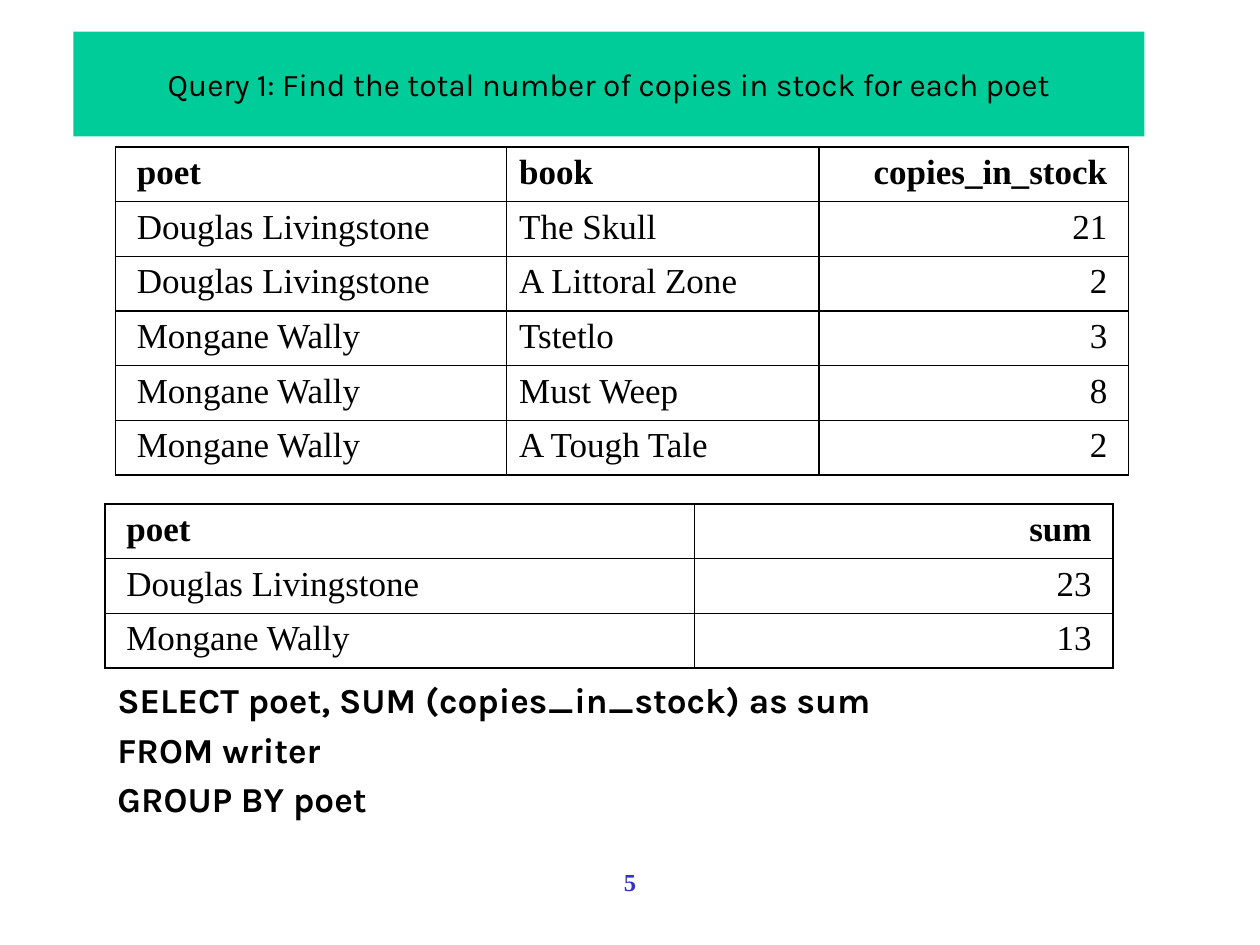
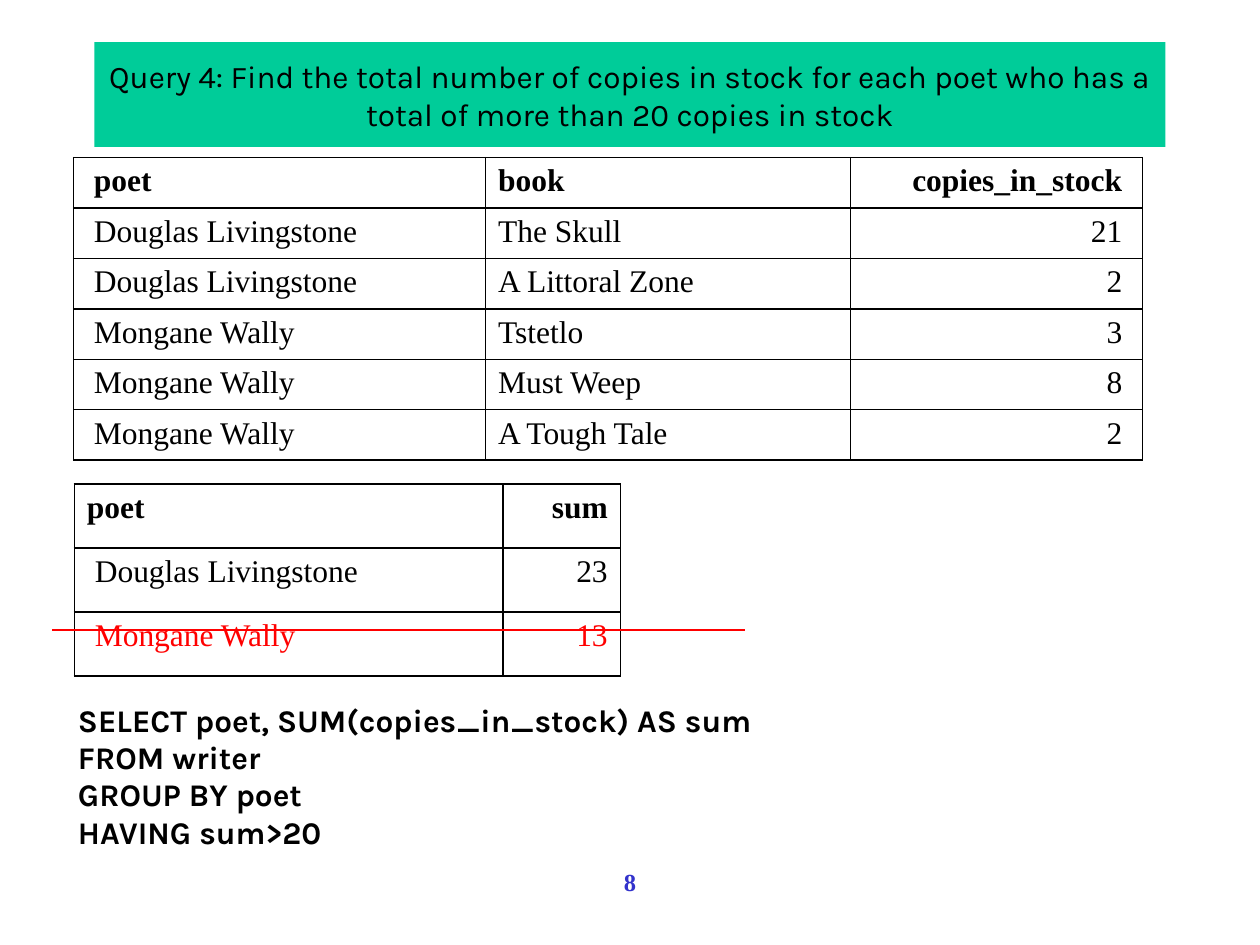
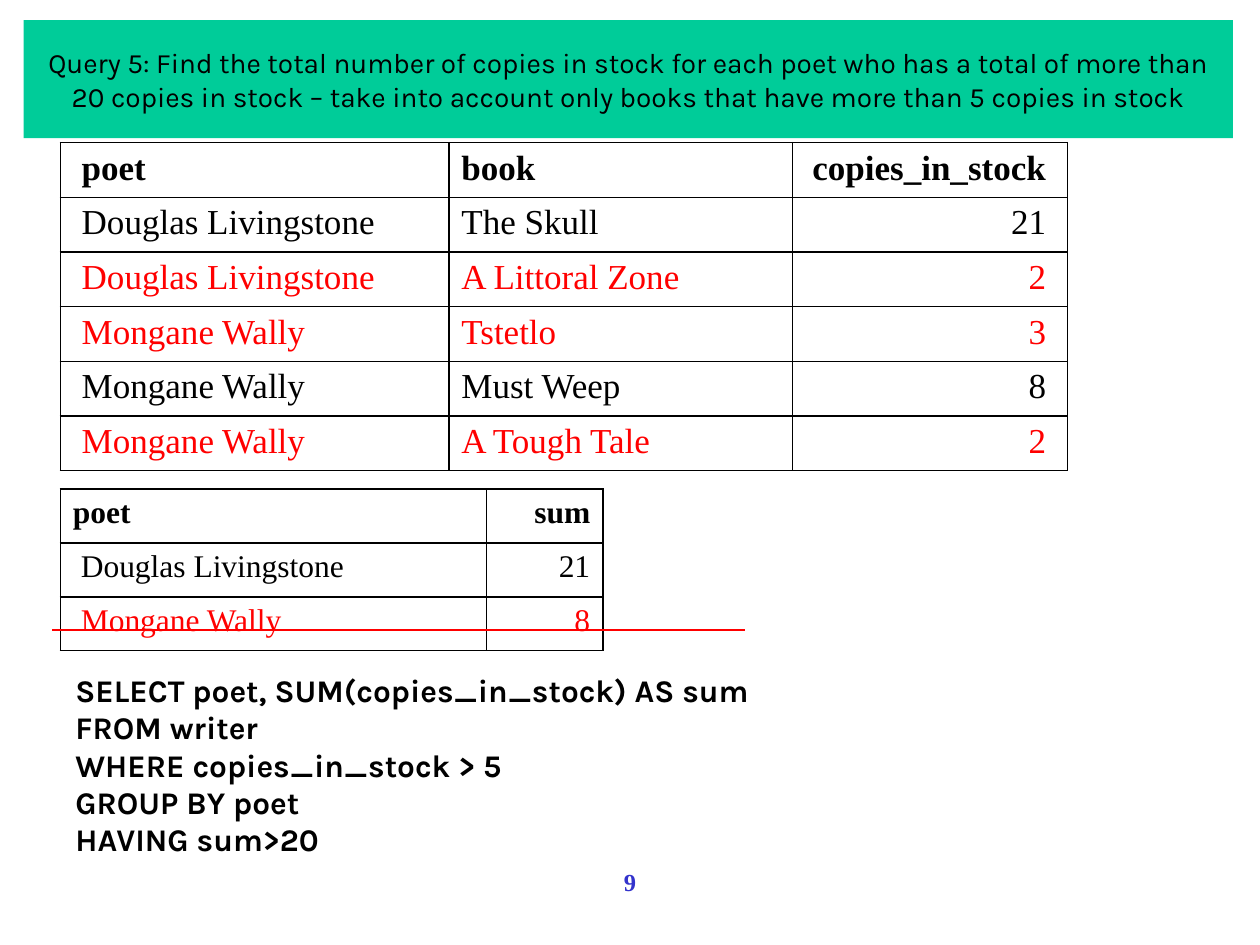
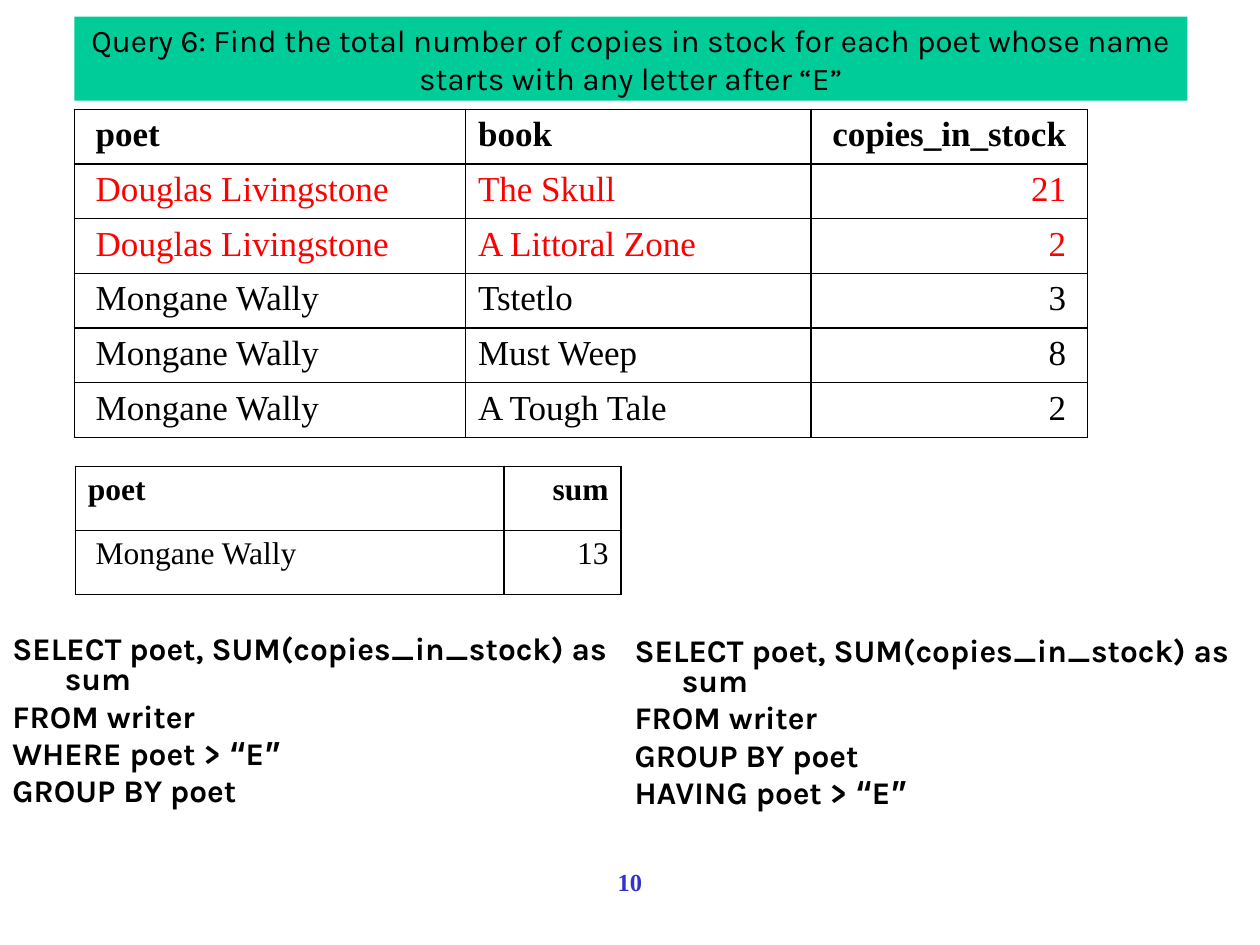
from itertools import groupby

from lxml.etree import SubElement
from pptx import Presentation
from pptx.dml.color import RGBColor
from pptx.enum.shapes import MSO_CONNECTOR as CONN, MSO_SHAPE as SHAPE
from pptx.enum.text import MSO_ANCHOR as ANCHOR, PP_ALIGN as ALIGN
from pptx.oxml.ns import qn
from pptx.util import Pt

BLACK, RED, GREEN, BLUE = "000000", "FF0000", "00CC99", "3333CC"
SANS, QUOTE_FONT, SERIF = "Karla", "Inter", "Times New Roman"

STOCK = [
    ("poet", "book", "copies_in_stock"),
    ("Douglas Livingstone", "The Skull", "21"),
    ("Douglas Livingstone", "A Littoral Zone", "2"),
    ("Mongane Wally", "Tstetlo", "3"),
    ("Mongane Wally", "Must Weep", "8"),
    ("Mongane Wally", "A Tough Tale", "2"),
]
SUM_HEAD = ("poet", "sum")


def rgb(color):
    """Turn a hex string into a colour."""
    return RGBColor.from_string(color)


def points(*values):
    """Turn numbers of points into lengths."""
    return [Pt(v) for v in values]


def write(p, text, size=18, font=SANS, color=BLACK, bold=False, align=ALIGN.LEFT):
    """Fill a paragraph, setting curly quotes of bold text in their own font."""
    p.alignment = align
    for is_quote, chars in groupby(text, lambda c: bold and c in "“”"):
        r = p.add_run()
        r.text = "".join(chars)
        r.font.name = QUOTE_FONT if is_quote else font
        r.font.size = Pt(size)
        r.font.bold = bold
        r.font.color.rgb = rgb(color)


def border(cell, color=BLACK, width=1):
    """Draw a solid line on all four sides of a cell."""
    tc_pr = cell._tc.get_or_add_tcPr()
    for side in ("lnL", "lnR", "lnT", "lnB"):
        ln = SubElement(tc_pr, qn(f"a:{side}"), w=str(Pt(width)))
        fill = SubElement(ln, qn("a:solidFill"))
        SubElement(fill, qn("a:srgbClr"), val=color)


class Deck:
    """The shared style and the slide being built."""

    def __init__(self):
        """Start an empty 10 by 7.5 inch presentation."""
        self.prs = Presentation()
        self.prs.slide_width, self.prs.slide_height = points(720, 540)
        self.shapes = None

    def slide(self, number):
        """Add a blank slide with its page number."""
        self.shapes = self.prs.slides.add_slide(self.prs.slide_layouts[6]).shapes
        tf = self.shapes.add_textbox(*points(36, 492, 648, 36)).text_frame
        tf.word_wrap = True
        write(tf.paragraphs[0], str(number), size=14, font=SERIF, color=BLUE,
              bold=True, align=ALIGN.CENTER)

    def title(self, text, box, size=18):
        """Add the green title band."""
        sp = self.shapes.add_shape(SHAPE.RECTANGLE, *points(*box))
        sp.shadow.inherit = False
        sp.fill.solid()
        sp.fill.fore_color.rgb = rgb(GREEN)
        sp.line.fill.background()
        tf = sp.text_frame
        tf.word_wrap = True
        tf.vertical_anchor = ANCHOR.MIDDLE
        write(tf.paragraphs[0], text, size=size, align=ALIGN.CENTER)

    def query(self, lines, box, size=18, spacing=0.8, hang=27):
        """Add SQL lines with a hanging indent."""
        tf = self.shapes.add_textbox(*points(*box)).text_frame
        tf.word_wrap = True
        for i, line in enumerate(lines):
            p = tf.add_paragraph() if i else tf.paragraphs[0]
            p.line_spacing = spacing
            p.space_before = Pt(round(0.225 * size, 2))
            p_pr = p._p.get_or_add_pPr()
            p_pr.set("marL", str(Pt(hang)))
            p_pr.set("indent", str(-Pt(hang)))
            write(p, line, size=size, bold=True)

    def table(self, rows, at, widths, height, size=18, red=(), padded=True):
        """Add a ruled table; the last column is right aligned, red rows stand out."""
        last = len(widths) - 1
        frame = self.shapes.add_table(
            len(rows), len(widths), *points(*at, sum(widths), height * len(rows)))
        tbl = frame.table
        tbl.first_row = tbl.horz_banding = False
        for col, width in zip(tbl.columns, widths):
            col.width = Pt(width)
        for i, row in enumerate(rows):
            tbl.rows[i].height = Pt(height)
            for j, text in enumerate(row):
                cell = tbl.cell(i, j)
                border(cell)
                cell.fill.background()
                cell.margin_top = cell.margin_bottom = Pt(3.6)
                pad = Pt(7.2 + size / 4)
                if j == 0 and (padded or i):
                    cell.margin_left = pad
                if j == last and padded:
                    cell.margin_right = pad
                write(cell.text_frame.paragraphs[0], text, size=size, font=SERIF,
                      color=RED if i in red else BLACK, bold=i == 0,
                      align=ALIGN.RIGHT if j == last else ALIGN.LEFT)

    def strike(self):
        """Draw the red line through the rejected group."""
        line = self.shapes.add_connector(CONN.STRAIGHT, *points(30, 360, 426, 360))
        line.line.color.rgb = rgb(RED)
        line.line.width = Pt(0.75)
        SubElement(line._element.spPr, qn("a:effectLst"))


deck = Deck()

deck.slide(5)
deck.title("Query 1: Find the total number of copies in stock for each poet",
           (42, 18, 612, 60))
deck.query(["SELECT poet, SUM (copies_in_stock) as sum", "FROM writer", "GROUP BY poet"],
           (60, 384, 474, 94), size=20, spacing=1.0)
deck.table([SUM_HEAD, ("Douglas Livingstone", "23"), ("Mongane Wally", "13")],
           (60, 288), (337, 239), 31.2, size=20)
deck.table(STOCK, (66, 84), (223.5, 178.5, 177), 31.2, size=20)

deck.slide(8)
deck.title("Query 4: Find the total number of copies in stock for each poet "
           "who has a total of more than 20 copies in stock", (54, 24, 612, 60))
deck.query(["SELECT poet, SUM(copies_in_stock) AS sum", "FROM writer",
            "GROUP BY poet", "HAVING sum>20"], (37.5, 401, 453.5, 88.5))
deck.table(STOCK, (42, 90), (235.5, 208.5, 167), 28.8)
deck.table([SUM_HEAD, ("Douglas Livingstone", "23"), ("Mongane Wally", "13")],
           (42.5, 276.5), (245, 67), 36.6, red=[2], padded=False)
deck.strike()

deck.slide(9)
deck.title("Query 5: Find the total number of copies in stock for each poet "
           "who has a total of more than 20 copies in stock – take into account "
           "only books that have more than 5 copies in stock",
           (13.5, 11.5, 691, 67.5), size=16)
deck.query(["SELECT poet, SUM(copies_in_stock) AS sum", "FROM writer",
            "WHERE copies_in_stock > 5", "GROUP BY poet", "HAVING sum>20"],
           (36, 384, 472, 96.5))
deck.table(STOCK, (34.5, 81.5), (222, 196.5, 157), 31.2, size=20, red=[2, 3, 5])
deck.table([SUM_HEAD, ("Douglas Livingstone", "21"), ("Mongane Wally", "8")],
           (34.5, 279.5), (243.5, 66.5), 30.8, red=[2], padded=False)
deck.strike()

deck.slide(10)
deck.title("Query 6: Find the total number of copies in stock for each poet "
           "whose name starts with any letter after “E”", (42.5, 9.5, 636, 48))
deck.query(["SELECT poet, SUM(copies_in_stock) as sum", "FROM writer",
            "WHERE poet > “E”", "GROUP BY poet"], (0, 360, 356.5, 121), hang=30)
deck.table(STOCK, (42.5, 62.5), (223.5, 197.5, 158), 31.2, size=20, red=[1, 2])
deck.table([SUM_HEAD, ("Mongane Wally", "13")],
           (43, 266.5), (245, 67), 36.6, padded=False)
deck.query(["SELECT poet, SUM(copies_in_stock) as sum", "FROM writer",
            "GROUP BY poet", "HAVING poet > “E”"], (355.5, 361, 364.5, 121))

deck.prs.save("out.pptx")
